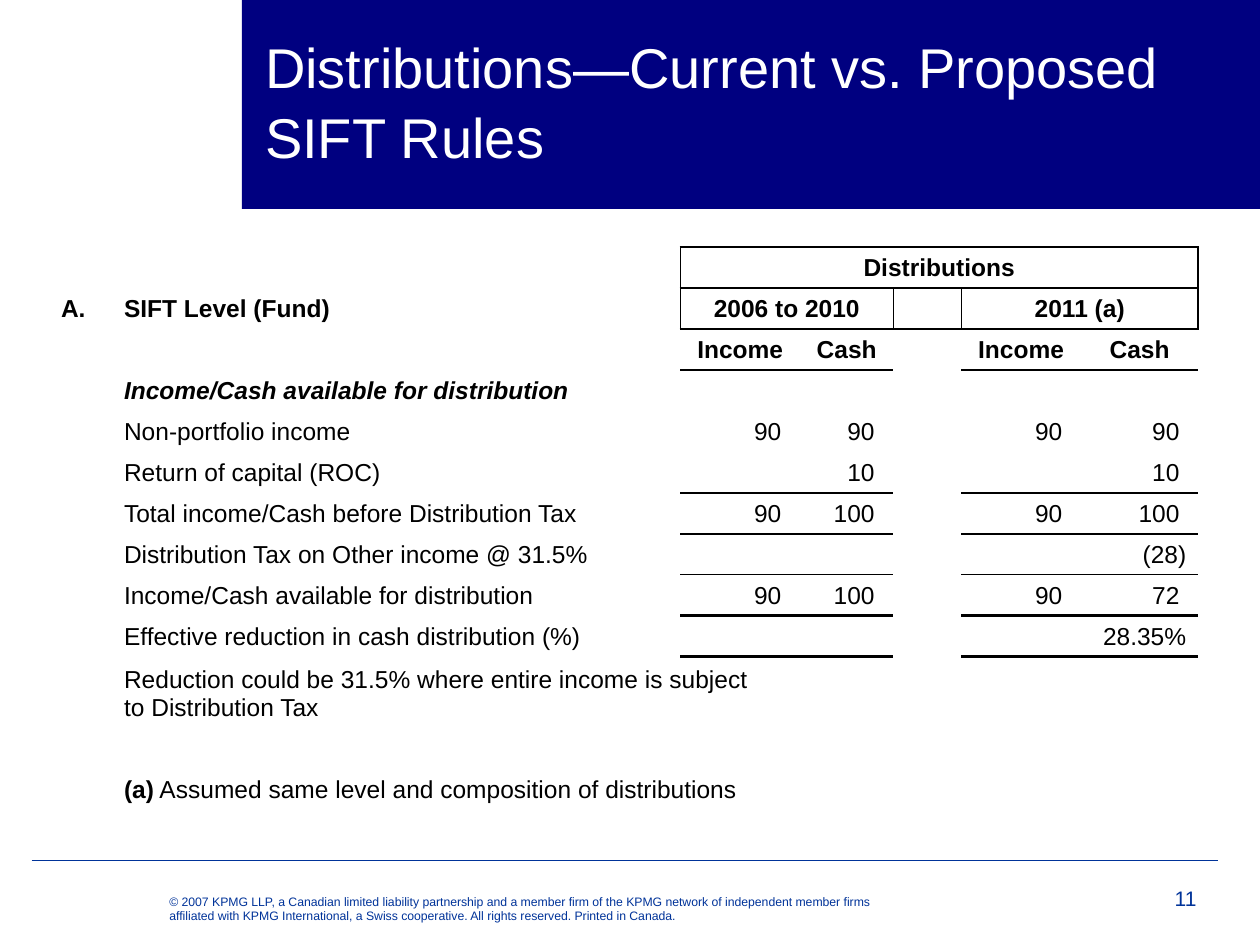
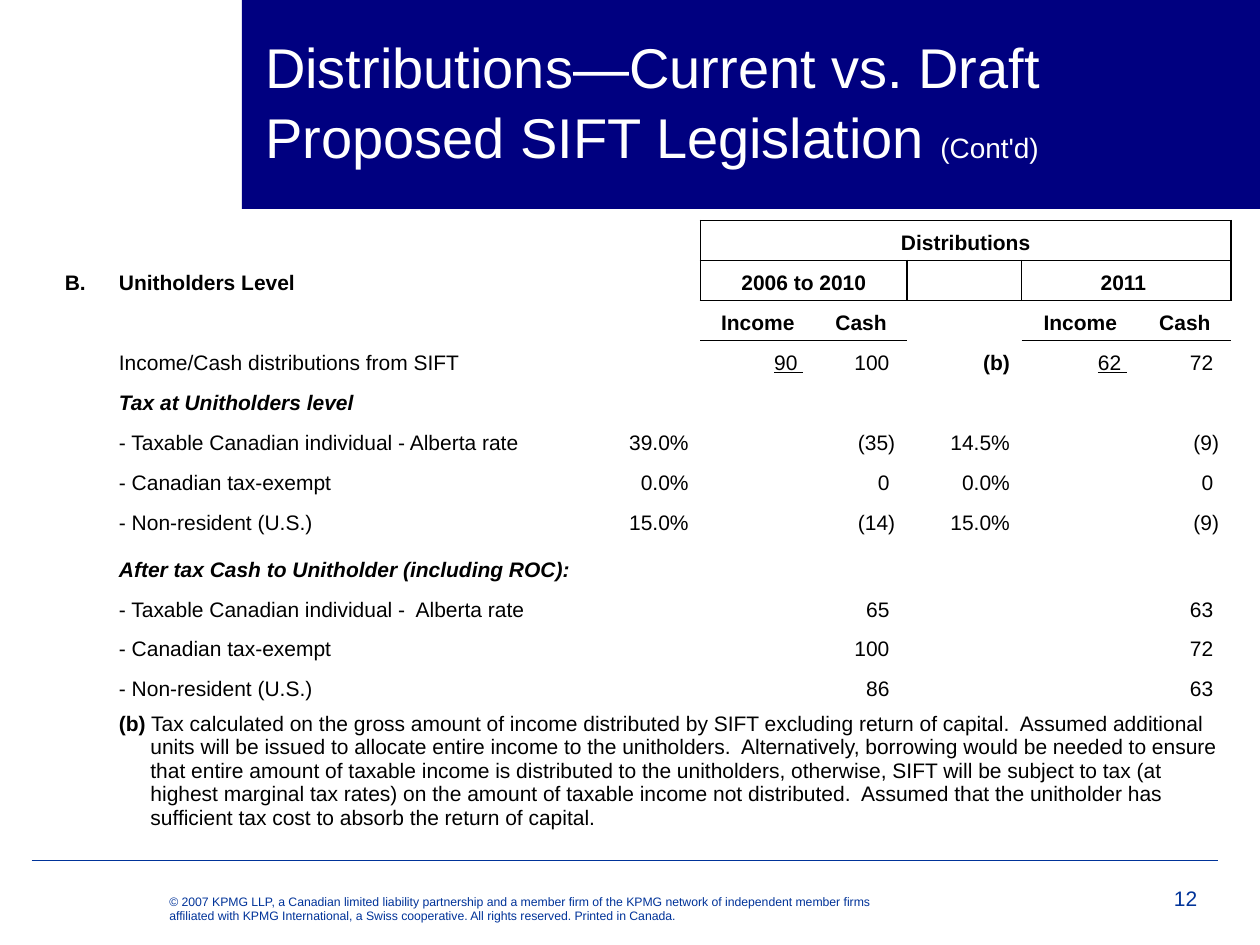
from dataclasses import dataclass

from lxml import etree
from pptx import Presentation
from pptx.dml.color import RGBColor
from pptx.enum.shapes import MSO_CONNECTOR, MSO_SHAPE
from pptx.enum.text import MSO_ANCHOR, PP_ALIGN
from pptx.oxml.ns import qn
from pptx.util import Pt

LEFT, CENTER, RIGHT = PP_ALIGN.LEFT, PP_ALIGN.CENTER, PP_ALIGN.RIGHT
TOP, MIDDLE, BOTTOM = MSO_ANCHOR.TOP, MSO_ANCHOR.MIDDLE, MSO_ANCHOR.BOTTOM
RECTANGLE, STRAIGHT = MSO_SHAPE.RECTANGLE, MSO_CONNECTOR.STRAIGHT


@dataclass(frozen=True)
class Theme:
    font: str = "Arial"
    band: str = "000080"
    footer: str = "003399"
    white: str = "FFFFFF"
    ink: str = "000000"
    title_size: int = 32
    continued_size: int = 16
    number_size: int = 12
    copyright_size: int = 7
    side_margin: float = 6.8
    edge_margin: float = 3.3
    no_grid_style: str = "{2D5ABB26-0587-4C30-8999-92F81FD0307C}"


THEME = Theme()
PAGE_WIDTH, PAGE_HEIGHT = 720, 540
TITLE_BOX = (144.72, 12.24, 527.76, 90)
FOOTER_BOX = (18, 491.76, 678.24, 40)
COPYRIGHT = (
    "© 2007 KPMG LLP, a Canadian limited liability partnership and a member firm of the KPMG "
    "network of independent member firms affiliated with KPMG International, a Swiss "
    "cooperative. All rights reserved. Printed in Canada."
)
BOLD = {"bold": True}
HEADING = {"bold": True, "italic": True}
UNDERLINED = {"underline": True}
HEADER_ROWS = 3
FIRST_VALUE_COLUMN = 2
SIDES = {
    "L": (0, -1, "R"),
    "R": (0, 1, "L"),
    "T": (-1, 0, "B"),
    "B": (1, 0, "T"),
}

FUND_LEVEL = {
    "place": (28.08, 141.12),
    "size": 14,
    "columns": [36, 280.8, 43.92, 68.4, 53.28, 38.88, 68.4, 66.96],
    "heights": [22.92] * 10 + [39] + [22.92] * 2,
    "rows": [
        ["", "", "", "Distributions"],
        ["A.", "SIFT Level (Fund)", "", "2006 to 2010", "", "", "2011 (a)"],
        ["", "", "", "Income", "Cash", "", "Income", "Cash"],
        ["", ("Income/Cash available for distribution", HEADING)],
        ["", "Non-portfolio income", "", "90 ", "90 ", "", "90 ", "90 "],
        ["", "Return of capital (ROC)", "", "", "10 ", "", "", "10 "],
        ["", "Total income/Cash before Distribution Tax", "", "90 ", "100 ", "", "90 ", "100 "],
        ["", "Distribution Tax on Other income @ 31.5%", "", "", "", "", "", "(28)"],
        ["", "Income/Cash available for distribution", "", "90 ", "100 ", "", "90 ", "72 "],
        ["", "Effective reduction in cash distribution (%)", "", "", "", "", "", "28.35%"],
        ["", "Reduction could be 31.5% where entire income is subject\nto Distribution Tax"],
        [],
        ["", [("(a)", BOLD), (" Assumed same level and composition of distributions", {})]],
    ],
    "merges": [(10, 1, 5), (12, 1, 6)],
    "frames": [(0, 3, 7), (1, 3, 4), (1, 6, 7)],
    "totals": {5: 1, 7: 1, 8: 2},
    "total_columns": (3, 4, 6, 7),
}

UNITHOLDER_LEVEL = {
    "place": (30.24, 126),
    "size": 12,
    "columns": [30.96, 278.64, 43.92, 16.56, 65.52, 52.56, 65.52, 66.96, 52.56],
    "heights": [22.9] * 8 + [27] + [22.6] * 3 + [80],
    "rows": [
        ["", "", "", "", "Distributions"],
        ["B.", "Unitholders Level", "", "", "2006 to 2010", "", "", "2011 "],
        ["", "", "", "", "Income", "Cash", "", "Income", "Cash"],
        ["", "Income/Cash distributions from SIFT", "", "", ("90 ", UNDERLINED), "100 ",
         ("(b)", BOLD), ("62 ", UNDERLINED), "72 "],
        ["", ("Tax at Unitholders level", HEADING)],
        ["", "- Taxable Canadian individual - Alberta rate", "39.0%", "", "", "(35)", "14.5%", "", "(9)"],
        ["", "- Canadian tax-exempt", "0.0%", "", "", "0 ", "0.0%", "", "0 "],
        ["", "- Non-resident (U.S.)", "15.0%", "", "", "(14)", "15.0%", "", "(9)"],
        ["", ("After tax Cash to Unitholder (including ROC):", HEADING)],
        ["", "- Taxable Canadian individual -  Alberta rate", "", "", "", "65 ", "", "", "63 "],
        ["", "- Canadian tax-exempt", "", "", "", "100 ", "", "", "72 "],
        ["", "- Non-resident (U.S.)", "", "", "", "86 ", "", "", "63 "],
        ["", [("(b)", BOLD), (
            " Tax calculated on the gross amount of income distributed by SIFT excluding return of "
            "capital.  Assumed additional units will be issued to allocate entire income to the "
            "unitholders.  Alternatively, borrowing would be needed to ensure that entire amount of "
            "taxable income is distributed to the unitholders, otherwise, SIFT will be subject to tax "
            "(at highest marginal tax rates) on the amount of taxable income not distributed.  "
            "Assumed that the unitholder has sufficient tax cost to absorb the return of capital.", {})]],
    ],
    "merges": [(row, 2, 3) for row in range(12) if row != 8] + [(8, 1, 2), (12, 1, 8)],
    "frames": [(0, 4, 8), (1, 4, 5), (1, 7, 8)],
    "totals": {},
    "total_columns": (),
    "hanging_row": 12,
}

PAGES = [
    (11, [("Distributions—Current vs. Proposed SIFT Rules", {})], FUND_LEVEL),
    (12, [("Distributions—Current vs. Draft Proposed SIFT Legislation ", {}),
          ("(Cont'd)", {"size": Pt(THEME.continued_size)})], UNITHOLDER_LEVEL),
]


def apply(target, values):
    for name, value in values.items():
        setattr(target, name, value)


def write_runs(para, content, size, color, base=None):
    if isinstance(content, str):
        content = (content, {})
    if isinstance(content, tuple):
        content = [content]
    for text, values in content:
        for index, line in enumerate(text.split("\n")):
            if index:
                para.add_line_break()
            if not line:
                continue
            span = para.add_run()
            span.text = line
            apply(span.font, {"name": THEME.font, "size": Pt(size), **(base or {}), **values})
            span.font.color.rgb = RGBColor.from_string(color)


def margins():
    return {
        "margin_left": Pt(THEME.side_margin),
        "margin_right": Pt(THEME.side_margin),
        "margin_top": Pt(THEME.edge_margin),
        "margin_bottom": Pt(THEME.edge_margin),
    }


def add_text(page, place, content, size, color, anchor=TOP, **para_values):
    box = page.shapes.add_textbox(*map(Pt, place))
    apply(box.text_frame, {"word_wrap": True, "vertical_anchor": anchor, **margins()})
    para = box.text_frame.paragraphs[0]
    apply(para, para_values)
    write_runs(para, content, size, color)


def add_band(page, place, color):
    band = page.shapes.add_shape(RECTANGLE, *map(Pt, place))
    band.shadow.inherit = False
    band.fill.solid()
    band.fill.fore_color.rgb = RGBColor.from_string(color)
    band.line.fill.background()


def draw_footer(page, place, number):
    left, top, width, height = place
    rule = page.shapes.add_connector(STRAIGHT, Pt(left), Pt(top), Pt(left + width), Pt(top))
    rule.line.color.rgb = RGBColor.from_string(THEME.footer)
    rule.line.width = Pt(0.75)
    etree.SubElement(rule._element.spPr, qn("a:effectLst"))
    add_text(page, (left + 72, top + 15.84, 419.76, 23.76), COPYRIGHT,
             THEME.copyright_size, THEME.footer)
    add_text(page, (left + width - 36.72, top + 10.8, 36, 23.76), str(number),
             THEME.number_size, THEME.footer, alignment=CENTER)


def draw_title(page, place, content):
    left, top, width, height = place
    band_left, band_bottom = left - 6.48, top + height + 17.28
    add_band(page, (band_left, 0, PAGE_WIDTH - band_left, band_bottom), THEME.band)
    add_band(page, (0, band_bottom, PAGE_WIDTH, 12.24), THEME.white)
    add_text(page, place, content, THEME.title_size, THEME.white, MIDDLE, line_spacing=1.04)


def collect_edges(level):
    edges = {}

    def mark(row, column, side, width):
        down, across, opposite = SIDES[side]
        edges.setdefault((row, column), {})[side] = width
        edges.setdefault((row + down, column + across), {})[opposite] = width

    for row, first, last in level["frames"]:
        for column in range(first, last + 1):
            mark(row, column, "T", 1)
            mark(row, column, "B", 1)
        mark(row, first, "L", 1)
        mark(row, last, "R", 1)
        edges[row, first]["R"] = 1
    for row, width in level["totals"].items():
        for column in level["total_columns"]:
            mark(row, column, "B", width)
    return edges


def draw_edges(cell, widths):
    properties = cell._tc.get_or_add_tcPr()
    for index, side in enumerate(side for side in SIDES if side in widths):
        line = etree.Element(qn(f"a:ln{side}"), w=str(Pt(widths[side])))
        fill = etree.SubElement(line, qn("a:solidFill"))
        etree.SubElement(fill, qn("a:srgbClr"), val=THEME.ink)
        properties.insert(index, line)


def fill_cell(cell, content, row, column, level):
    hanging = row == level.get("hanging_row")
    header = row < HEADER_ROWS
    apply(cell, {"vertical_anchor": TOP if hanging else BOTTOM, **margins()})
    cell.fill.background()
    para = cell.text_frame.paragraphs[0]
    if column < FIRST_VALUE_COLUMN:
        para.alignment = LEFT
    else:
        para.alignment = CENTER if header else RIGHT
    if hanging:
        apply_indent = para._p.get_or_add_pPr().set
        apply_indent("marL", str(Pt(18)))
        apply_indent("indent", str(-Pt(18)))
    write_runs(para, content, level["size"], THEME.ink, BOLD if header else None)
    etree.SubElement(para._p, qn("a:endParaRPr"), sz=str(level["size"] * 100))


def draw_level(page, level):
    columns, heights = level["columns"], level["heights"]
    box = page.shapes.add_table(len(heights), len(columns), *map(Pt, level["place"]),
                                Pt(sum(columns)), Pt(sum(heights)))
    table = box.table
    apply(table, {"first_row": False, "horz_banding": False})
    table._tbl.tblPr.find(qn("a:tableStyleId")).text = THEME.no_grid_style
    for column, width in zip(table.columns, columns):
        column.width = Pt(width)
    edges = collect_edges(level)
    for row, contents in enumerate(level["rows"]):
        table.rows[row].height = Pt(heights[row])
        padded = contents + [""] * (len(columns) - len(contents))
        for column, content in enumerate(padded):
            cell = table.cell(row, column)
            fill_cell(cell, content, row, column, level)
            draw_edges(cell, edges.get((row, column), {}))
    for row, first, last in level["merges"] + level["frames"]:
        table.cell(row, first).merge(table.cell(row, last))


def main():
    deck = Presentation()
    apply(deck, {"slide_width": Pt(PAGE_WIDTH), "slide_height": Pt(PAGE_HEIGHT)})
    for number, title, level in PAGES:
        page = deck.slides.add_slide(deck.slide_layouts[6])
        draw_footer(page, FOOTER_BOX, number)
        draw_title(page, TITLE_BOX, title)
        draw_level(page, level)
    deck.save("out.pptx")


if __name__ == "__main__":
    main()
